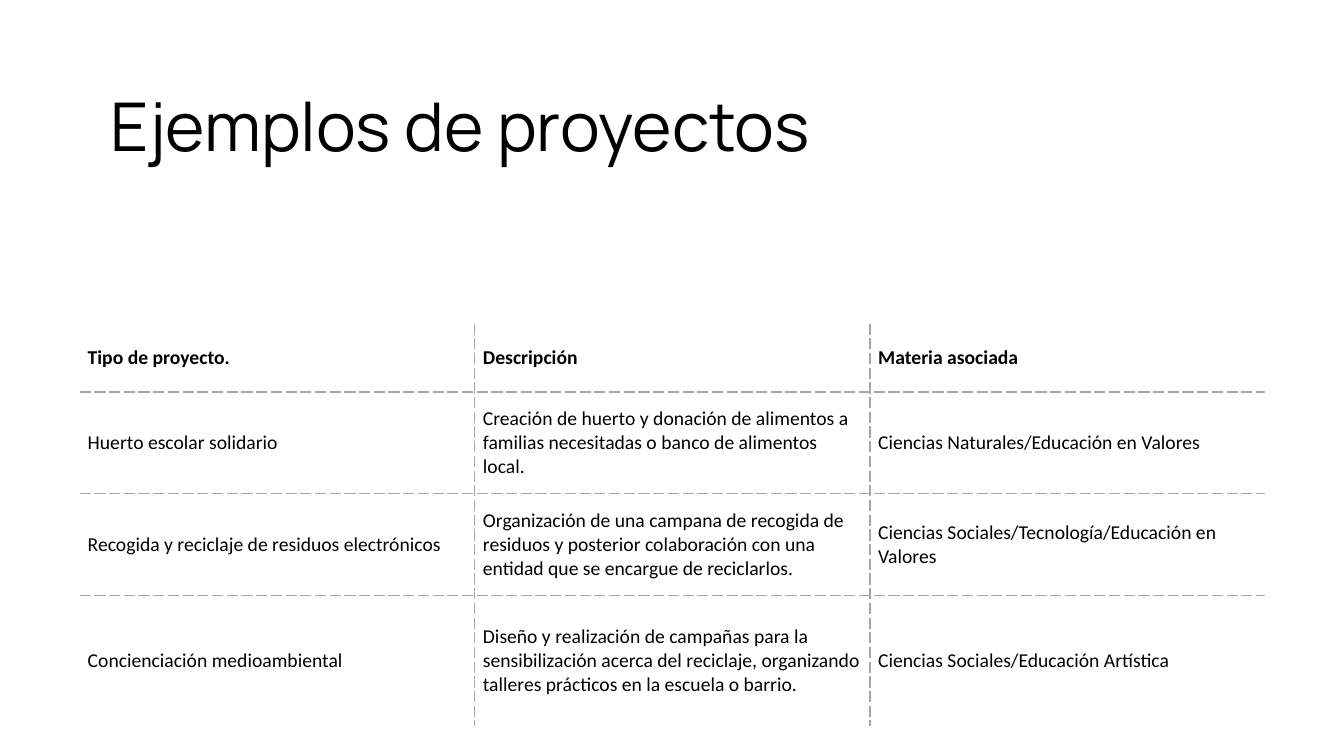
"""Build a slide with a title and a dashed table of school project examples."""
from lxml import etree
from pptx import Presentation
from pptx.dml.color import RGBColor
from pptx.enum.text import MSO_ANCHOR
from pptx.oxml.ns import qn
from pptx.util import Inches, Pt

MIDDLE = MSO_ANCHOR.MIDDLE
THEME = {
    "ink": RGBColor.from_string("000000"),
    "rule": "A6A6A6",
    "rule_width": Pt(1),
    "title": ("Manrope", Pt(48)),
    "body": ("Calibri", Pt(14)),
}
ROWS = [
    ("Tipo de proyecto.", "Descripción", "Materia asociada"),
    ("Huerto escolar solidario",
     "Creación de huerto y donación de alimentos a familias necesitadas o banco de alimentos local.",
     "Ciencias Naturales/Educación en Valores"),
    ("Recogida y reciclaje de residuos electrónicos",
     "Organización de una campana de recogida de residuos y posterior colaboración con una entidad que se encargue de reciclarlos.",
     "Ciencias Sociales/Tecnología/Educación en Valores"),
    ("Concienciación medioambiental",
     "Diseño y realización de campañas para la sensibilización acerca del reciclaje, organizando talleres prácticos en la escuela o barrio.",
     "Ciencias Sociales/Educación Artística"),
]
ROW_HEIGHTS = [0.68, 1.01, 1.01, 1.29]
COL_WIDTH = 3.92
PAD = Inches(0.08)


def style(p, role, bold=False):
    p.font.name, p.font.size = THEME[role]
    p.font.color.rgb = THEME["ink"]
    p.font.bold = bold


def add_border(cell, side, visible):
    ln = etree.SubElement(cell._tc.get_or_add_tcPr(), qn(f"a:ln{side}"))
    if visible:
        ln.set("w", str(THEME["rule_width"]))
        fill = etree.SubElement(ln, qn("a:solidFill"))
        etree.SubElement(fill, qn("a:srgbClr"), val=THEME["rule"])
        etree.SubElement(ln, qn("a:prstDash"), val="sysDash")
    else:
        ln.set("w", "0")
        etree.SubElement(ln, qn("a:noFill"))


prs = Presentation()
prs.slide_width, prs.slide_height = Inches(13.33), Inches(7.5)
s = prs.slides.add_slide(prs.slide_layouts[6])

n_rows, n_cols = len(ROWS), len(ROWS[0])
frame = s.shapes.add_table(n_rows, n_cols, Inches(0.79), Inches(3.21),
                           Inches(COL_WIDTH * n_cols), Inches(sum(ROW_HEIGHTS)))
table = frame.table
table.horz_banding = False
for col in table.columns:
    col.width = Inches(COL_WIDTH)
for i, (texts, height) in enumerate(zip(ROWS, ROW_HEIGHTS)):
    table.rows[i].height = Inches(height)
    for j, text in enumerate(texts):
        cell = table.cell(i, j)
        cell.text = text
        cell.vertical_anchor = MIDDLE
        cell.margin_left = cell.margin_right = PAD
        cell.margin_top = cell.margin_bottom = PAD
        style(cell.text_frame.paragraphs[0], "body", bold=i == 0)
        inner = {"L": j > 0, "R": j < n_cols - 1, "T": i > 0, "B": i < n_rows - 1}
        for side, visible in inner.items():
            add_border(cell, side, visible)
        cell.fill.background()

tf = s.shapes.add_textbox(Inches(1), Inches(0.79), Inches(11.42), Inches(1.44)).text_frame
tf.word_wrap = True
p = tf.paragraphs[0]
p.text = "Ejemplos de proyectos"
style(p, "title")

prs.save("out.pptx")
